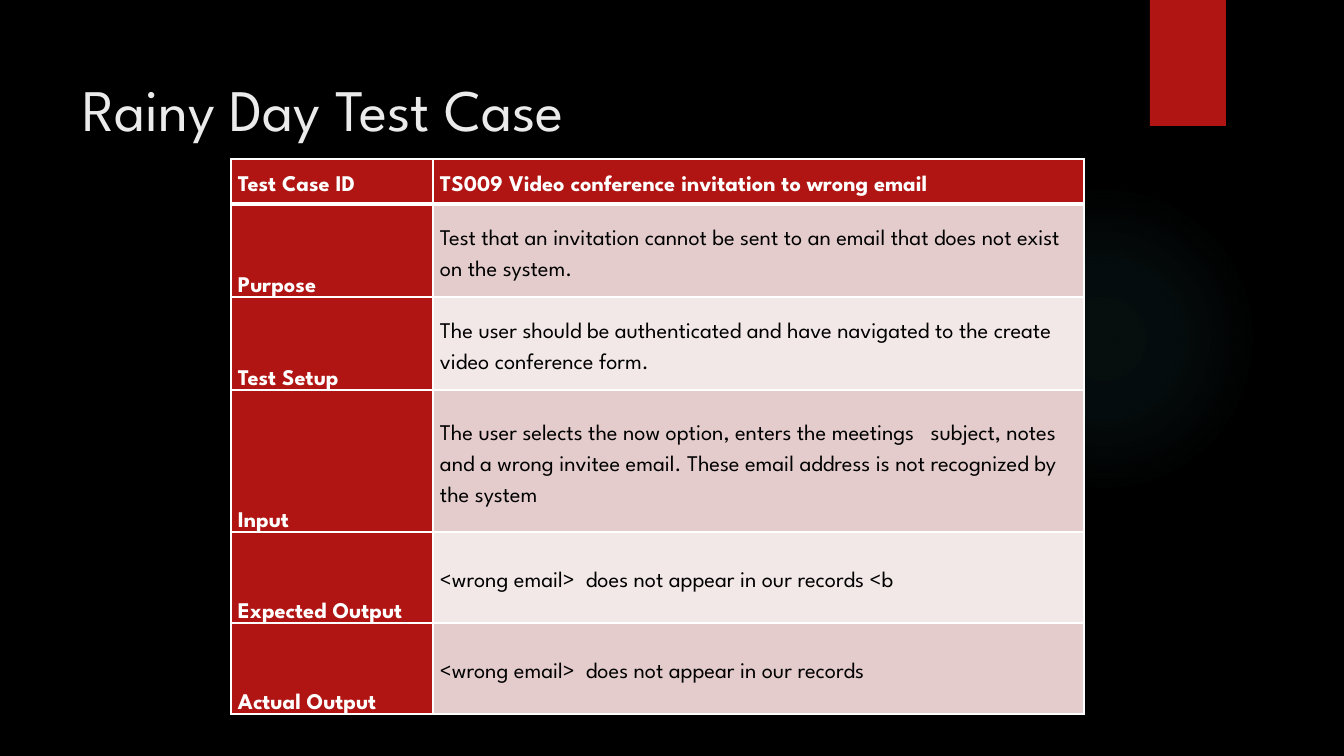
from lxml import etree
from pptx import Presentation
from pptx.dml.color import RGBColor
from pptx.enum.shapes import MSO_SHAPE
from pptx.enum.text import MSO_ANCHOR, MSO_AUTO_SIZE, PP_ALIGN
from pptx.oxml import parse_xml
from pptx.oxml.ns import nsdecls, qn
from pptx.util import Emu, Pt

OVAL, RECT = MSO_SHAPE.OVAL, MSO_SHAPE.RECTANGLE
TOP, MIDDLE, BOTTOM = MSO_ANCHOR.TOP, MSO_ANCHOR.MIDDLE, MSO_ANCHOR.BOTTOM
LEFT, FIXED = PP_ALIGN.LEFT, MSO_AUTO_SIZE.NONE
FONT = "League Spartan"
HEX = {"back": "000000", "red": "B01513", "glow": "50B9C1", "title": "EBEBEB",
       "white": "FFFFFF", "text": "000000", "dark": "E4CCCC", "light": "F2E8E7"}
GLOW = [(0, 7), (36, 6), (69, 0)]
COLS = [202, 651]
ROWS = [
    (45, "Test Case ID", "TS009 Video conference invitation to wrong email"),
    (93, "Purpose", "Test that an invitation cannot be sent to an email that does not exist on the system."),
    (93, "Test Setup", "The user should be authenticated and have navigated to the create video conference form."),
    (142, "Input", "The user selects the now option, enters the meetings   subject, notes and a wrong "
                   "invitee email. These email address is not recognized by the system"),
    (91, "Expected Output", "<wrong email>  does not appear in our records <b"),
    (91, "Actual Output", "<wrong email>  does not appear in our records"),
]


def px(n):
    """Turn pixels into EMU."""
    return Emu(round(n * 914400 / 100.8))


def color(name):
    """Look up a named colour."""
    return RGBColor.from_string(HEX[name])


def style(para, size, name, bold=False):
    """Set the font of a paragraph."""
    font = para.font
    font.name, font.size, font.bold = FONT, Pt(size), bold
    font.color.rgb = color(name)


def shape(slide, kind, box):
    """Add a flat shape in a box without outline."""
    item = slide.shapes.add_shape(kind, *map(px, box))
    item.shadow.inherit = False
    item.line.fill.background()
    return item


def decor(slide, box):
    """Place the soft glow and the red tab relative to the slide box."""
    left, top, width, height = box
    glow = shape(slide, OVAL, (left + width - 395, top + 184, 310, 310))
    stops = "".join(
        f'<a:gs pos="{pos * 1000}"><a:srgbClr val="{HEX["glow"]}">'
        f'<a:alpha val="{alpha * 1000}"/></a:srgbClr></a:gs>' for pos, alpha in GLOW)
    grad = parse_xml(
        f'<a:gradFill {nsdecls("a")}><a:gsLst>{stops}</a:gsLst><a:path path="circle">'
        '<a:fillToRect l="50000" t="50000" r="50000" b="50000"/></a:path></a:gradFill>')
    glow.element.spPr.find(qn("a:prstGeom")).addnext(grad)
    tab = shape(slide, RECT, (left + width - 194, top, 76, 126))
    tab.fill.solid()
    tab.fill.fore_color.rgb = color("red")


def title(slide, box):
    """Fill the title placeholder in a box."""
    head = slide.shapes.title
    head.left, head.top, head.width, head.height = map(px, box)
    frame = head.text_frame
    frame.text = "Rainy Day Test Case"
    frame.auto_size, frame.word_wrap = FIXED, True
    frame.vertical_anchor, frame.margin_top = TOP, px(23)
    para = frame.paragraphs[0]
    para.alignment = LEFT
    style(para, 42, "title")


def border(cell, row):
    """Draw white cell borders, thicker below the header."""
    wide = {"B": row == 0, "T": row == 1}
    props = cell._tc.get_or_add_tcPr()
    for spot, side in enumerate("LRTB"):
        line = etree.Element(qn(f"a:ln{side}"), w=str(Pt(3 if wide.get(side) else 1)))
        fill = etree.SubElement(line, qn("a:solidFill"))
        etree.SubElement(fill, qn("a:srgbClr"), val=HEX["white"])
        props.insert(spot, line)


def fill_cell(cell, text, row, col):
    """Write and format one cell by its row and column."""
    label = row == 0 or col == 0
    cell.text = text
    cell.margin_left = cell.margin_right = px(7)
    cell.margin_top = cell.margin_bottom = 0
    cell.vertical_anchor = BOTTOM if row and col == 0 else MIDDLE
    cell.fill.solid()
    cell.fill.fore_color.rgb = color("red" if label else "dark" if row % 2 else "light")
    para = cell.text_frame.paragraphs[0]
    para.line_spacing = 1.5
    style(para, 16, "white" if label else "text", label)
    border(cell, row)


def cases(slide, left, top):
    """Place the test case table from its top left corner."""
    high = sum(row[0] for row in ROWS)
    box = map(px, (left, top, sum(COLS), high))
    table = slide.shapes.add_table(len(ROWS), len(COLS), *box).table
    for col, width in enumerate(COLS):
        table.columns[col].width = px(width)
    for row, (height, *texts) in enumerate(ROWS):
        table.rows[row].height = px(height)
        for col, text in enumerate(texts):
            fill_cell(table.cell(row, col), text, row, col)


def main():
    """Build and save the slide."""
    deck = Presentation()
    deck.slide_width, deck.slide_height = px(1344), px(756)
    slide = deck.slides.add_slide(deck.slide_layouts[5])
    slide.background.fill.solid()
    slide.background.fill.fore_color.rgb = color("back")
    decor(slide, (0, 0, 1344, 756))
    cases(slide, 231, 159)
    title(slide, (72, 50, 1037, 154))
    deck.save("out.pptx")


if __name__ == "__main__":
    main()
